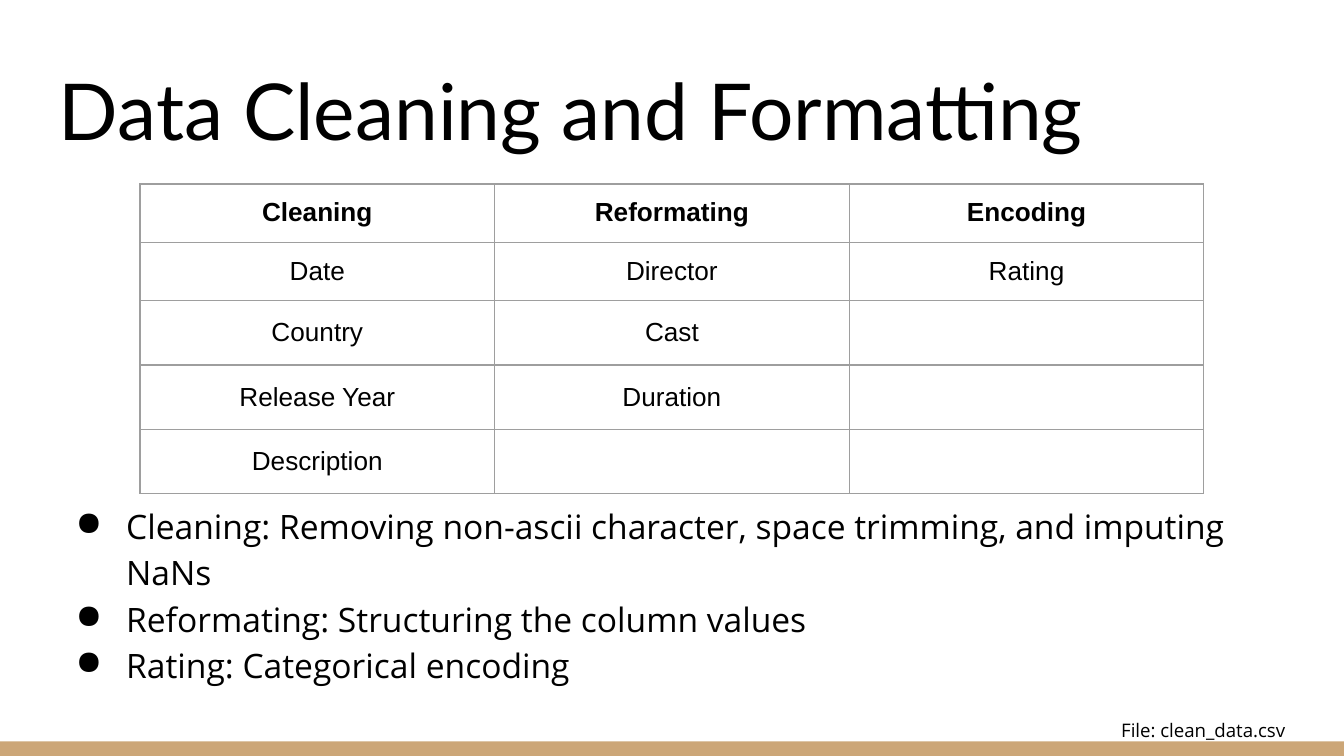
from lxml import etree
from pptx import Presentation
from pptx.dml.color import RGBColor
from pptx.enum.shapes import MSO_SHAPE
from pptx.enum.text import MSO_ANCHOR, PP_ALIGN
from pptx.oxml.ns import qn
from pptx.util import Pt

BLACK = RGBColor(0x00, 0x00, 0x00)
TAN = RGBColor(0xCC, 0xA6, 0x77)
GREY = RGBColor(0x9E, 0x9E, 0x9E)

SLIDE_WIDTH, SLIDE_HEIGHT = 720, 405
INSET = 7.2

TABLE_ROWS = [
    ("Cleaning", "Reformating", "Encoding"),
    ("Date", "Director", "Rating"),
    ("Country", "Cast", ""),
    ("Release Year", "Duration", ""),
    ("Description", "", ""),
]
ROW_HEIGHTS = [30.2, 30.2, 34.5, 34.5, 34.5]
BULLETS = [
    "Cleaning: Removing non-ascii character, space trimming, and imputing NaNs",
    "Reformating: Structuring the column values",
    "Rating: Categorical encoding",
]


def style_font(paragraph, name, size, bold=False):
    font = paragraph.font
    font.name, font.size, font.bold = name, Pt(size), bold
    font.color.rgb = BLACK


def set_insets(frame):
    """Give a text frame or a table cell the same margin on all sides."""
    frame.margin_left = frame.margin_right = Pt(INSET)
    frame.margin_top = frame.margin_bottom = Pt(INSET)


def add_text_frame(slide, left, top, width, height, anchor):
    box = slide.shapes.add_textbox(Pt(left), Pt(top), Pt(width), Pt(height))
    frame = box.text_frame
    frame.word_wrap = True
    frame.vertical_anchor = anchor
    set_insets(frame)
    return frame


def add_bullet(paragraph, margin, indent):
    properties = paragraph._p.get_or_add_pPr()
    properties.set("marL", str(Pt(margin)))
    properties.set("indent", str(Pt(indent)))
    bullet = etree.Element(qn("a:buChar"), char="●")
    default_font = properties.find(qn("a:defRPr"))
    default_font.addprevious(bullet)


def set_borders(cell, color, width):
    properties = cell._tc.get_or_add_tcPr()
    for position, side in enumerate(("a:lnL", "a:lnR", "a:lnT", "a:lnB")):
        line = etree.Element(qn(side), w=str(Pt(width)))
        fill = etree.SubElement(line, qn("a:solidFill"))
        etree.SubElement(fill, qn("a:srgbClr"), val=str(color))
        properties.insert(position, line)


def add_footer_bar(slide, left, top, width, height):
    bar = slide.shapes.add_shape(
        MSO_SHAPE.RECTANGLE, Pt(left), Pt(top), Pt(width), Pt(height))
    bar.shadow.inherit = False
    bar.fill.solid()
    bar.fill.fore_color.rgb = TAN
    bar.line.fill.background()


def add_title(slide, left, top, width, height):
    frame = add_text_frame(slide, left, top, width, height, MSO_ANCHOR.BOTTOM)
    paragraph = frame.paragraphs[0]
    paragraph.text = "Data Cleaning and Formatting"
    style_font(paragraph, "Lato", 42)


def add_notes_list(slide, left, top, width, height):
    """Place the bullets and, below them, the right-aligned file name."""
    frame = add_text_frame(slide, left, top, width, height, MSO_ANCHOR.TOP)
    for index, text in enumerate(BULLETS):
        paragraph = frame.add_paragraph() if index else frame.paragraphs[0]
        paragraph.text = text
        paragraph.line_spacing = 1.15
        style_font(paragraph, "Open Sans", 18)
        add_bullet(paragraph, 36, -27)

    file_name = frame.add_paragraph()
    file_name.text = "File: clean_data.csv"
    file_name.alignment = PP_ALIGN.RIGHT
    file_name.line_spacing = 1.15
    file_name.space_before = file_name.space_after = Pt(16)
    style_font(file_name, "Open Sans", 10)


def add_steps_table(slide, left, top, width):
    column_count = len(TABLE_ROWS[0])
    table = slide.shapes.add_table(
        len(TABLE_ROWS), column_count, Pt(left), Pt(top),
        Pt(width), Pt(sum(ROW_HEIGHTS))).table
    table.horz_banding = False
    for column in table.columns:
        column.width = Pt(width / column_count)
    for row_index, texts in enumerate(TABLE_ROWS):
        table.rows[row_index].height = Pt(ROW_HEIGHTS[row_index])
        for column_index, text in enumerate(texts):
            cell = table.cell(row_index, column_index)
            cell.text = text
            cell.vertical_anchor = MSO_ANCHOR.MIDDLE if row_index else MSO_ANCHOR.TOP
            cell.fill.background()
            set_insets(cell)
            set_borders(cell, GREY, 0.75)
            paragraph = cell.text_frame.paragraphs[0]
            paragraph.alignment = PP_ALIGN.CENTER
            style_font(paragraph, "Arial", 14, bold=row_index == 0)


def main():
    presentation = Presentation()
    presentation.slide_width = Pt(SLIDE_WIDTH)
    presentation.slide_height = Pt(SLIDE_HEIGHT)
    slide = presentation.slides.add_slide(presentation.slide_layouts[6])

    add_footer_bar(slide, 0, SLIDE_HEIGHT - 7.8, SLIDE_WIDTH, 7.8)
    add_title(slide, 24.5, 25.2, 671, 65.5)
    add_notes_list(slide, 24.5, 260.6, 671, 144.4)
    add_steps_table(slide, 75, 98.6, 570)
    presentation.save("out.pptx")


if __name__ == "__main__":
    main()
